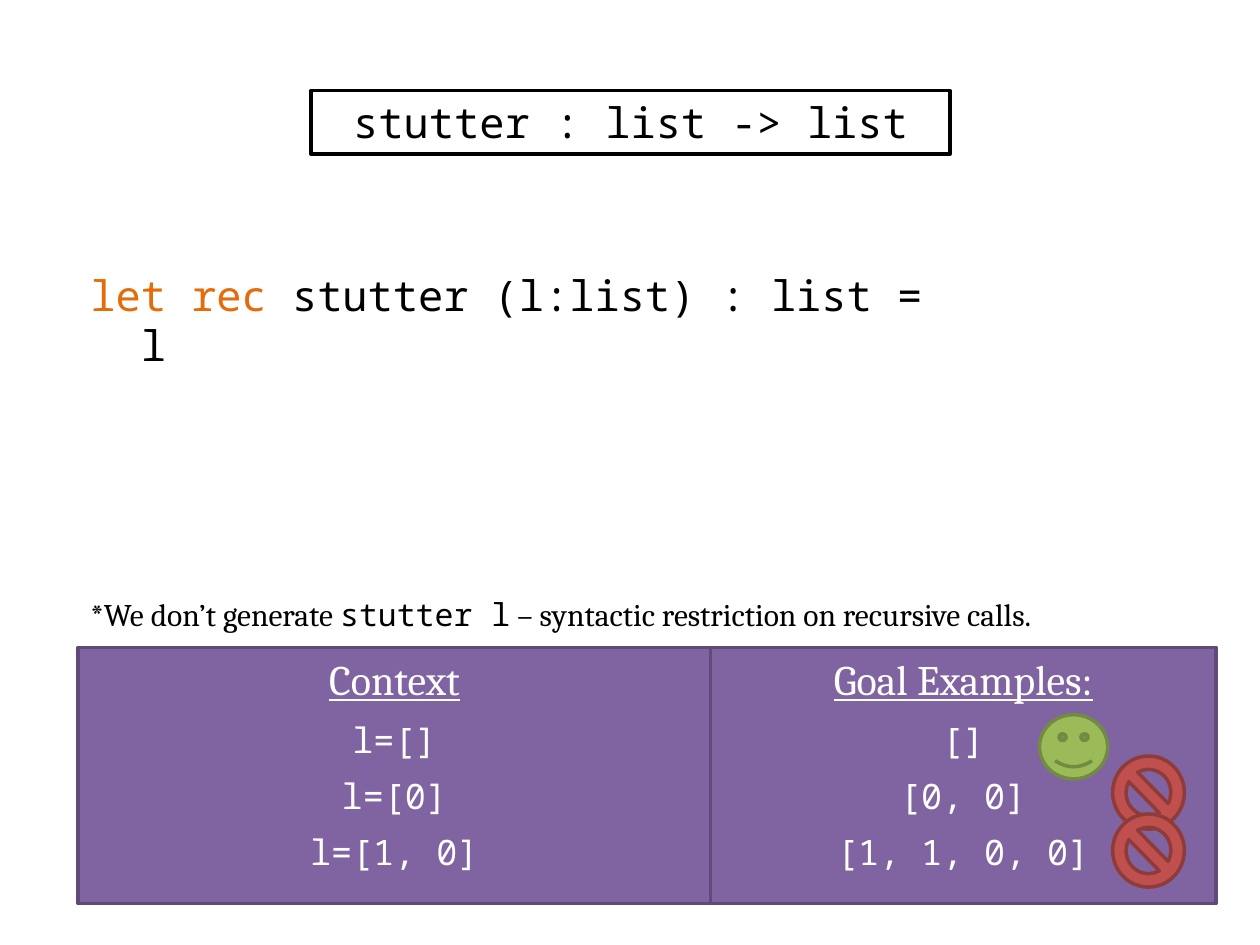
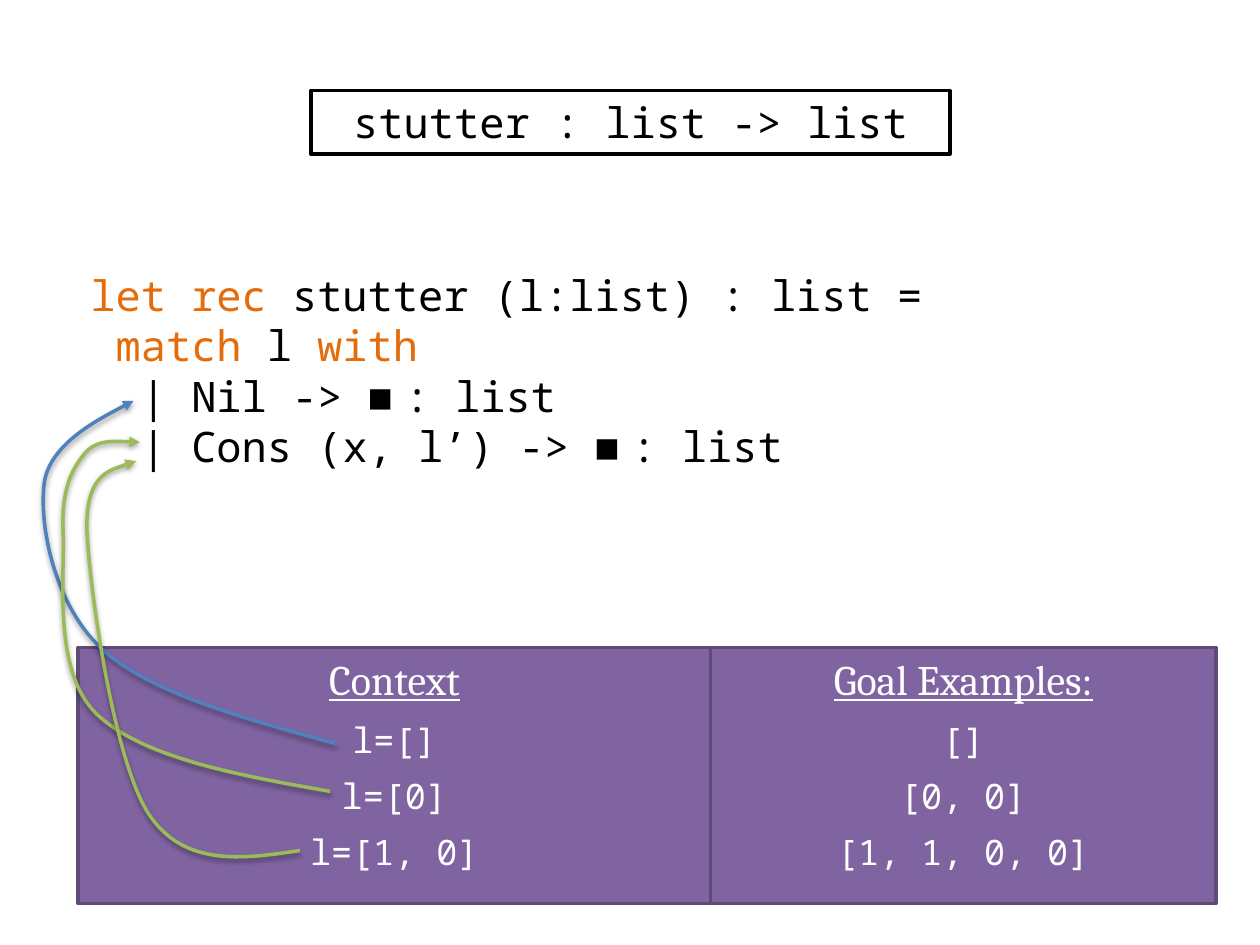
"""Build two slides that derive the function stutter from examples."""
import pptx
import pptx.dml.color
import pptx.enum.shapes
import pptx.enum.text
import pptx.oxml
import pptx.oxml.ns
import pptx.util

Pt = pptx.util.Pt
RGB = pptx.dml.color.RGBColor
SHAPES = pptx.enum.shapes.MSO_SHAPE
ALIGN = pptx.enum.text.PP_ALIGN
qn = pptx.oxml.ns.qn

BLACK, WHITE = RGB(0, 0, 0), RGB(255, 255, 255)
KEYWORD = RGB(0xE4, 0x6C, 0x0A)
PURPLE, PURPLE_EDGE = RGB(0x80, 0x64, 0xA2), RGB(0x5F, 0x4A, 0x78)
GREEN, GREEN_EDGE = RGB(0x9B, 0xBB, 0x59), RGB(0x73, 0x8A, 0x42)
RED, RED_EDGE = RGB(0xC0, 0x50, 0x4D), RGB(0x8E, 0x3B, 0x39)
BLUE = RGB(0x4F, 0x81, 0xBD)
CODE, SERIF, SYMBOL = "Noto Sans Mono", "Cambria", "Arial"

SIGNATURE = "stutter : list -> list"
EXAMPLES = [
    ("Goal Examples:", 406.1, 288.7, ["[]", "[0, 0]", "[1, 1, 0, 0]"]),
    ("Context", 44.6, 361.5, ["l=[]", "l=[0]", "l=[1, 0]"]),
]
EXAMPLES_TOP, EXAMPLES_HEIGHT = 370.1, 146.2

HEADER = [("let rec", {"color": KEYWORD}), (" stutter (l:list) : list =", {})]
HOLE = [("■ ", {"name": SYMBOL}), (": list", {})]
IDENTITY_BODY = [HEADER, [("  l", {})]]
MATCH_BODY = [
    HEADER,
    [(" ", {}), ("match", {"color": KEYWORD}), (" l ", {}), ("with", {"color": KEYWORD})],
    [("  | Nil -> ", {}), *HOLE],
    [("  | Cons (x, l’) -> ", {}), *HOLE],
]
NOTE = [[
    ("*We don’t generate ", {}),
    ("stutter l", {"name": CODE}),
    (" – syntactic restriction on recursive calls.", {}),
]]
VERDICTS = [
    (SHAPES.SMILEY_FACE, (594, 408.4, 39, 36.7), GREEN, GREEN_EDGE),
    (SHAPES.NO_SYMBOL, (635.8, 432, 41, 41.8), RED, RED_EDGE),
    (SHAPES.NO_SYMBOL, (635.8, 465.1, 41, 41.8), RED, RED_EDGE),
]
BRANCH_ARROWS = [
    (BLUE, [(191.5, 424.8), (139, 410.4), (86.4, 396), (59, 371.5),
            (31, 346.3), (22.3, 300.2), (25.2, 276.5),
            (28.1, 252.7), (76.3, 229), (76.3, 229)]),
    (GREEN, [(188.6, 452.2), (134.6, 442.8), (80.6, 432.7), (54.7, 407.5),
             (29.5, 382.3), (37.4, 327.6), (36, 302.4),
             (35.3, 277.9), (41.8, 267.1), (49, 258.5),
             (56.2, 250.6), (79.9, 252.7), (79.9, 252.7)]),
    (GREEN, [(171.4, 486), (138.2, 491), (105.1, 495.4), (85, 465.1),
             (64.8, 434.2), (51.1, 336.2), (49.7, 302.4),
             (49, 269.3), (77.8, 263.5), (77.8, 263.5)]),
]


def set_font(font, name, size, color, underline=None):
    font.name, font.size, font.underline = name, Pt(size), underline
    font.color.rgb = color


def add_panel(page, kind, place, fill, edge):
    panel = page.shapes.add_shape(kind, *map(Pt, place))
    panel.shadow.inherit = False
    panel.fill.solid()
    panel.fill.fore_color.rgb = fill
    panel.line.color.rgb = edge
    panel.line.width = Pt(2)
    panel.text_frame.vertical_anchor = pptx.enum.text.MSO_ANCHOR.TOP
    return panel


def add_centred(frame, index, text, **font):
    para = frame.add_paragraph() if index else frame.paragraphs[0]
    para.text, para.alignment = text, ALIGN.CENTER
    if index:
        para.space_before = Pt(8)
    set_font(para.font, **font)


def add_text(page, place, lines, name, size):
    frame = page.shapes.add_textbox(*map(Pt, place)).text_frame
    frame.word_wrap = True
    for index, spans in enumerate(lines):
        para = frame.add_paragraph() if index else frame.paragraphs[0]
        set_font(para.font, name, size, BLACK)
        for text, style in spans:
            span = para.add_run()
            span.text = text
            if "color" in style:
                span.font.color.rgb = style["color"]
            if "name" in style:
                span.font.name = style["name"]


def add_curved_arrow(page, color, points):
    start, *rest = [(Pt(x), Pt(y)) for x, y in points]
    builder = page.shapes.build_freeform(*start)
    builder.add_line_segments(rest, close=False)
    arrow = builder.convert_to_shape()
    segments = list(arrow._element.iter(qn("a:lnTo")))
    for first, second, third in zip(*[iter(segments)] * 3):
        curve = pptx.oxml.parse_xml(f'<a:cubicBezTo {pptx.oxml.ns.nsdecls("a")}/>')
        first.addprevious(curve)
        for segment in (first, second, third):
            curve.append(segment[0])
            segment.getparent().remove(segment)
    arrow.fill.background()
    arrow.line.color.rgb = color
    arrow.line.width = Pt(2)
    arrow.line._get_or_add_ln().append(pptx.oxml.parse_xml(
        f'<a:tailEnd {pptx.oxml.ns.nsdecls("a")} type="triangle"/>'))
    arrow.shadow.inherit = False
    arrow._element.spPr.find(qn("a:effectLst")).append(pptx.oxml.parse_xml(
        f'<a:outerShdw {pptx.oxml.ns.nsdecls("a")} blurRad="{Pt(3.1)}" dist="{Pt(1.6)}"'
        ' dir="5400000" rotWithShape="0"><a:srgbClr val="000000">'
        '<a:alpha val="38000"/></a:srgbClr></a:outerShdw>'))


def add_stutter_page(deck, body, body_height):
    page = deck.slides.add_slide(deck.slide_layouts[6])
    signature = add_panel(page, SHAPES.RECTANGLE, (177.8, 51.8, 365, 36.3), WHITE, BLACK)
    add_centred(signature.text_frame, 0, SIGNATURE, name=CODE, size=24, color=BLACK)
    add_text(page, (44.6, 150.5, 498.2, body_height), body, CODE, 24)
    for heading, left, width, values in EXAMPLES:
        place = (left, EXAMPLES_TOP, width, EXAMPLES_HEIGHT)
        frame = add_panel(page, SHAPES.RECTANGLE, place, PURPLE, PURPLE_EDGE).text_frame
        add_centred(frame, 0, heading, name=SERIF, size=24, color=WHITE, underline=True)
        for index, value in enumerate(values, 1):
            add_centred(frame, index, value, name=CODE, size=20, color=WHITE)
    return page


def main():
    deck = pptx.Presentation()
    deck.slide_width, deck.slide_height = Pt(720), Pt(540)
    page = add_stutter_page(deck, IDENTITY_BODY, 65.5)
    for verdict in VERDICTS:
        add_panel(page, *verdict)
    add_text(page, (44.6, 336.2, 608.4, 29), NOTE, SERIF, 18)
    page = add_stutter_page(deck, MATCH_BODY, 123.8)
    for color, points in BRANCH_ARROWS:
        add_curved_arrow(page, color, points)
    deck.save("out.pptx")


if __name__ == "__main__":
    main()
